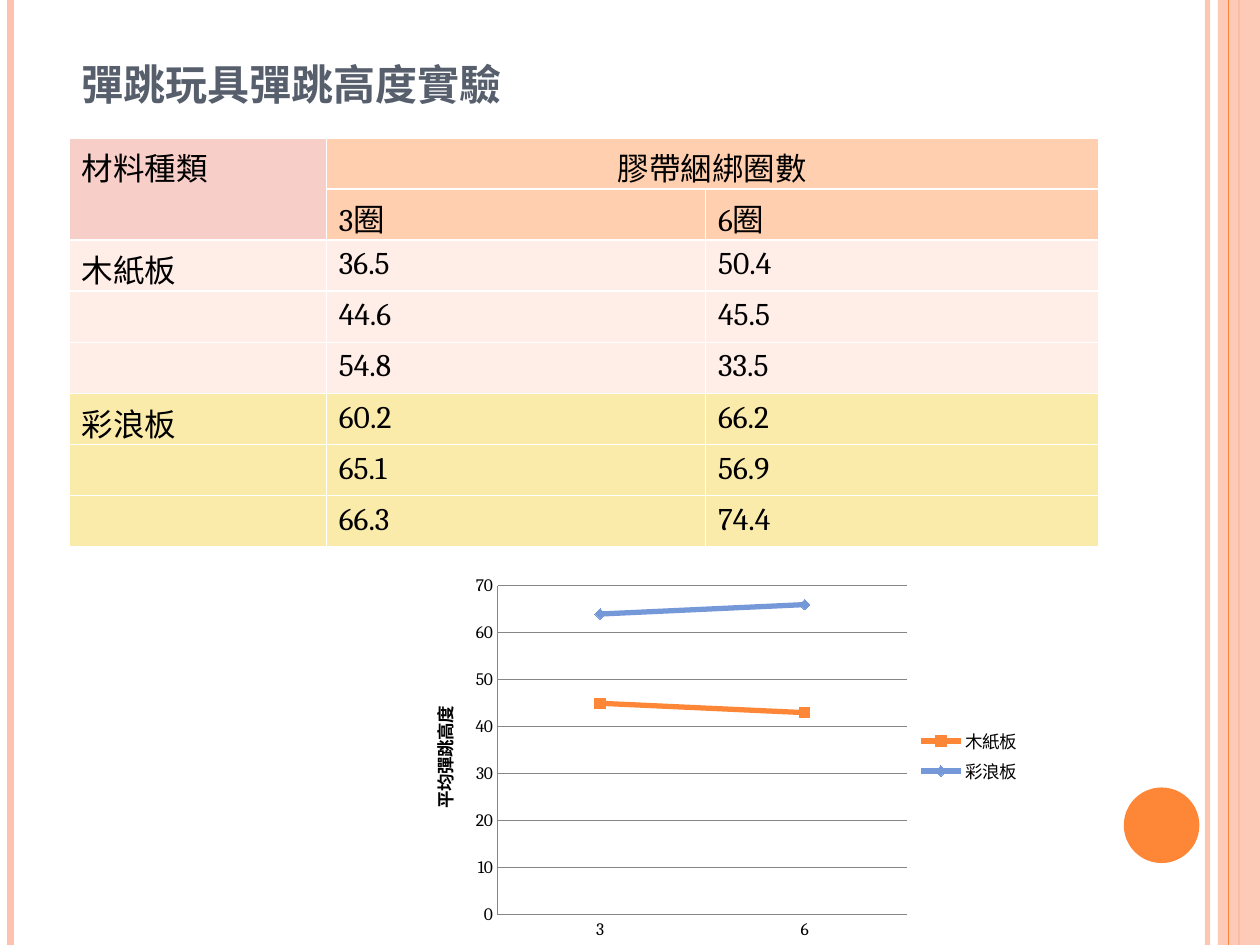
import pptx
import pptx.chart.data
import pptx.dml.color
import pptx.enum.chart
import pptx.enum.shapes
import pptx.enum.text
import pptx.oxml
import pptx.oxml.ns
import pptx.util
from lxml import etree

Pt = pptx.util.Pt
qn = pptx.oxml.ns.qn
FONT = "Cambria"
ROWS = [
    ["材料種類", "膠帶綑綁圈數", ""],
    ["", "3圈", "6圈"],
    ["木紙板", "36.5", "50.4"],
    ["", "44.6", "45.5"],
    ["", "54.8", "33.5"],
    ["彩浪板", "60.2", "66.2"],
    ["", "65.1", "56.9"],
    ["", "66.3", "74.4"],
]
SERIES = [
    ("木紙板", (45, 43), "FE8637", pptx.enum.chart.XL_MARKER_STYLE.SQUARE),
    ("彩浪板", (64, 66), "7598D9", pptx.enum.chart.XL_MARKER_STYLE.DIAMOND),
]


def rgb(color):
    return pptx.dml.color.RGBColor.from_string(color)


def paint(fill, color):
    fill.solid()
    fill.fore_color.rgb = rgb(color)


def style_font(font, size, color, bold=False):
    font.name = FONT
    font.size = Pt(size)
    font.bold = bold
    font.color.rgb = rgb(color)


def set_alpha(sp, percent):
    for clr in sp._element.spPr.iter(qn("a:srgbClr")):
        etree.SubElement(clr, qn("a:alpha"), val=str(percent * 1000))


def add_stripe(s, x, color, width, alpha=100):
    line = s.shapes.add_connector(
        pptx.enum.shapes.MSO_CONNECTOR.STRAIGHT, Pt(x), Pt(0), Pt(x), Pt(540))
    line.line.color.rgb = rgb(color)
    line.line.width = Pt(width)
    if alpha < 100:
        set_alpha(line, alpha)
    etree.SubElement(line._element.spPr, qn("a:effectLst"))


def add_block(s, kind, x, y, w, h, color, alpha=100):
    sp = s.shapes.add_shape(kind, Pt(x), Pt(y), Pt(w), Pt(h))
    sp.shadow.inherit = False
    paint(sp.fill, color)
    sp.line.fill.background()
    if alpha < 100:
        set_alpha(sp, alpha)


def add_title(s, text):
    tf = s.shapes.add_textbox(Pt(39.6), Pt(11.5), Pt(340.6), Pt(55.4)).text_frame
    tf.word_wrap = True
    tf.vertical_anchor = pptx.enum.text.MSO_ANCHOR.BOTTOM
    tf.text = text
    r = tf.paragraphs[0].runs[0]
    style_font(r.font, 30, "575F6D", True)
    r.font._element.set("cap", "small")


def add_borders(cell, color):
    tc_pr = cell._tc.get_or_add_tcPr()
    for i, side in enumerate(("lnL", "lnR", "lnT", "lnB")):
        ln = pptx.oxml.parse_xml(
            f'<a:{side} {pptx.oxml.ns.nsdecls("a")} w="{Pt(1)}"><a:solidFill>'
            f'<a:srgbClr val="{color}"/></a:solidFill></a:{side}>')
        tc_pr.insert(i, ln)


def cell_color(row, col):
    if row < 2:
        return "F8CFC8" if col == 0 else "FFCFAF"
    return "FFEDE8" if row < 5 else "FBEBAB"


def add_data_table(s):
    widths = (146.9, 216.7, 224.6)
    row_height = 29.2
    frame = s.shapes.add_table(len(ROWS), len(widths), Pt(39.6), Pt(78.8),
                               Pt(sum(widths)), Pt(row_height * len(ROWS)))
    table = frame.table
    for column, width in zip(table.columns, widths):
        column.width = Pt(width)
    for i, texts in enumerate(ROWS):
        table.rows[i].height = Pt(row_height)
        for j, text in enumerate(texts):
            cell = table.cell(i, j)
            paint(cell.fill, cell_color(i, j))
            add_borders(cell, "FFFFFF")
            p = cell.text_frame.paragraphs[0]
            if text:
                p.text = text
                style_font(p.runs[0].font, 18, "000000")
    table.cell(0, 0).merge(table.cell(1, 0))
    table.cell(0, 1).merge(table.cell(0, 2))
    table.cell(0, 1).text_frame.paragraphs[0].alignment = pptx.enum.text.PP_ALIGN.CENTER


def place_plot(chart, x, y, w, h):
    plot_area = chart._chartSpace.chart.plotArea
    for old in plot_area.findall(qn("c:layout")):
        plot_area.remove(old)
    layout = etree.Element(qn("c:layout"))
    manual = etree.SubElement(layout, qn("c:manualLayout"))
    values = (("layoutTarget", "inner"), ("xMode", "edge"), ("yMode", "edge"),
              ("x", x), ("y", y), ("w", w), ("h", h))
    for name, value in values:
        etree.SubElement(manual, qn("c:" + name), val=str(value))
    plot_area.insert(0, layout)


def style_axis(axis):
    axis.major_tick_mark = pptx.enum.chart.XL_TICK_MARK.NONE
    axis.minor_tick_mark = pptx.enum.chart.XL_TICK_MARK.NONE
    axis.format.line.color.rgb = rgb("868686")


def add_line_chart(s):
    data = pptx.chart.data.CategoryChartData()
    data.categories = ["3", "6"]
    for name, values, _, _ in SERIES:
        data.add_series(name, values)
    chart = s.shapes.add_chart(pptx.enum.chart.XL_CHART_TYPE.LINE_MARKERS,
                               Pt(230.4), Pt(324), Pt(360), Pt(216), data).chart
    style_font(chart.font, 10, "000000")
    chart.has_title = False
    chart.has_legend = True
    chart.legend.position = pptx.enum.chart.XL_LEGEND_POSITION.RIGHT
    chart.legend.include_in_layout = False
    chart.plots[0].vary_by_categories = False
    for series, (_, _, color, marker) in zip(chart.plots[0].series, SERIES):
        series.smooth = False
        series.format.line.color.rgb = rgb(color)
        series.format.line.width = Pt(3)
        series.marker.style = marker
        series.marker.size = 6
        paint(series.marker.format.fill, color)
        series.marker.format.line.color.rgb = rgb(color)
    style_axis(chart.category_axis)
    axis = chart.value_axis
    style_axis(axis)
    axis.minimum_scale, axis.maximum_scale, axis.major_unit = 0, 70, 10
    axis.has_major_gridlines = True
    axis.major_gridlines.format.line.color.rgb = rgb("868686")
    tf = axis.axis_title.text_frame
    tf.text = "平均彈跳高度"
    style_font(tf.paragraphs[0].runs[0].font, 10, "000000", True)
    body = tf._txBody.find(qn("a:bodyPr"))
    body.set("rot", "-5400000")
    body.set("vert", "horz")
    place_plot(chart, 0.15, 0.05, 0.65, 0.87)


def main():
    prs = pptx.Presentation()
    prs.slide_width, prs.slide_height = Pt(720), Pt(540)
    s = prs.slides.add_slide(prs.slide_layouts[6])
    shapes = pptx.enum.shapes.MSO_SHAPE
    add_stripe(s, 690, "FEC3AE", 3, 93)
    add_stripe(s, 6, "FEC3AE", 4.5)
    add_stripe(s, 708, "FE8637", 1.5)
    add_block(s, shapes.RECTANGLE, 696, 0, 24, 540, "FEC3AE", 87)
    add_stripe(s, 702, "FE8637", 0.75)
    add_block(s, shapes.OVAL, 642.2, 450, 43.2, 43.2, "FE8637")
    add_title(s, "彈跳玩具彈跳高度實驗")
    add_data_table(s)
    add_line_chart(s)
    prs.save("out.pptx")


if __name__ == "__main__":
    main()
